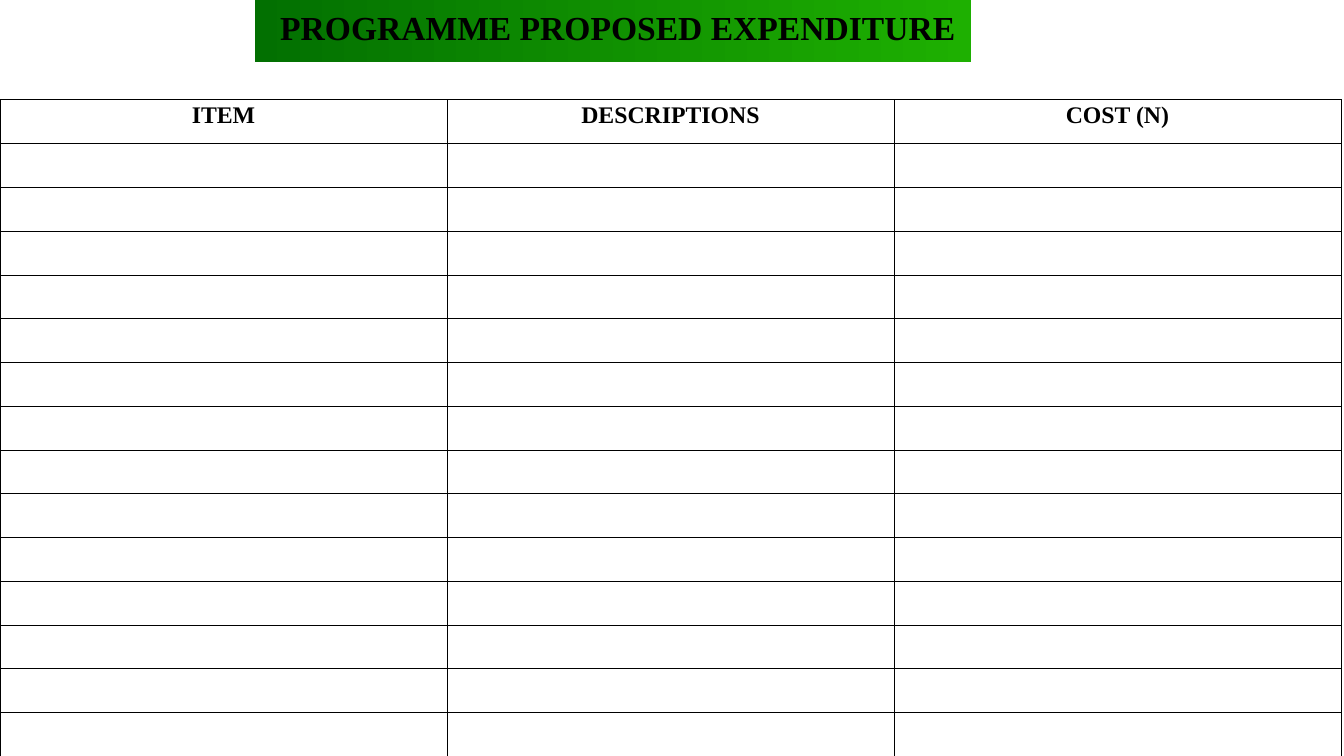
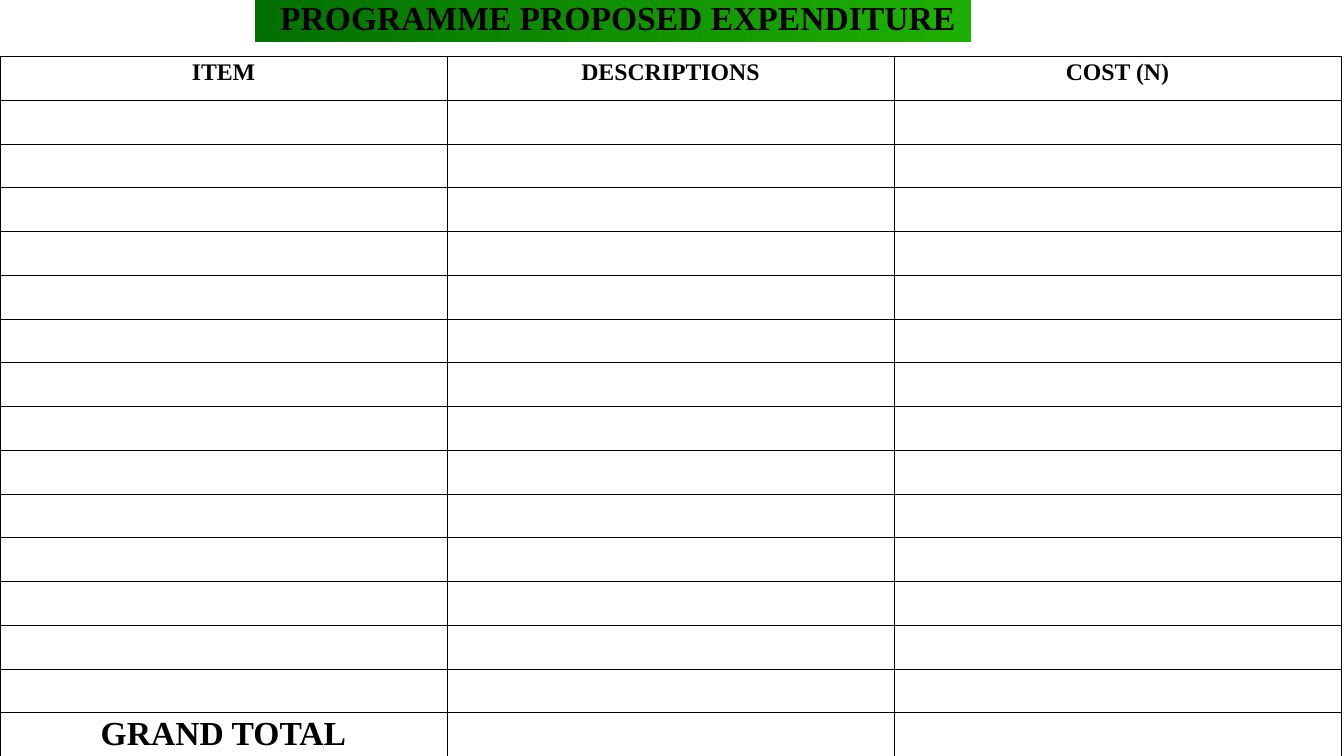
"""Build two expenditure form slides."""
from dataclasses import dataclass

from lxml import etree
from pptx import Presentation
from pptx.dml.color import RGBColor
from pptx.enum import shapes, text
from pptx.oxml import ns
from pptx.util import Inches, Pt

BLACK = RGBColor(0x00, 0x00, 0x00)
GREENS = RGBColor(0x02, 0x70, 0x01), RGBColor(0x1E, 0xB0, 0x01)
FONT = "Times New Roman"
TITLE = "PROGRAMME PROPOSED EXPENDITURE"
HEADS = "ITEM", "DESCRIPTIONS", "COST (N)"
COL = 8.87
ROW = 13.89 / 16


@dataclass
class Form:
    """One slide's banner height and table layout."""
    band: float
    top: float
    rows: int
    total: str = ""


FORMS = Form(1.24, 1.98, 15), Form(0.83, 1.12, 16, "GRAND TOTAL")


def style(para, size: int) -> None:
    """Set the shared bold font."""
    font = para.font
    font.name, font.size, font.bold = FONT, Pt(size), True
    font.color.rgb = BLACK


def border(cell) -> None:
    """Clear the fill and rule all four sides of a cell."""
    cell.fill.background()
    props = cell._tc.get_or_add_tcPr()
    for spot, side in enumerate("LRTB"):
        line = etree.Element(ns.qn(f"a:ln{side}"), w=str(Pt(1)))
        fill = etree.SubElement(line, ns.qn("a:solidFill"))
        etree.SubElement(fill, ns.qn("a:srgbClr"), val=str(BLACK))
        props.insert(spot, line)


def write(cell, words: str, size: int) -> None:
    """Put centred text in a cell."""
    para = cell.text_frame.paragraphs[0]
    para.text = words
    para.alignment = text.PP_ALIGN.CENTER
    style(para, size)


def add_grid(slide, form: Form) -> None:
    """Draw the ruled table."""
    grid = slide.shapes.add_table(
        form.rows, len(HEADS), 0, Inches(form.top),
        Inches(COL * len(HEADS)), Inches(ROW * form.rows)).table
    grid.first_row = grid.horz_banding = False
    for row in grid.rows:
        row.height = Inches(ROW)
    for cell in grid.iter_cells():
        border(cell)
    for spot, head in enumerate(HEADS):
        write(grid.cell(0, spot), head, 34)
    if form.total:
        write(grid.cell(form.rows - 1, 0), form.total, 48)


def add_band(slide, form: Form) -> None:
    """Draw the green title banner."""
    band = slide.shapes.add_shape(
        shapes.MSO_SHAPE.RECTANGLE, Inches(5.06), 0, Inches(14.2), Inches(form.band))
    band.shadow.inherit = False
    band.line.fill.background()
    band.fill.gradient()
    band.fill.gradient_angle = 0
    for spot, (stop, color) in enumerate(zip(band.fill.gradient_stops, GREENS)):
        stop.position = spot
        stop.color.rgb = color
    frame = band.text_frame
    frame.margin_left = frame.margin_right = frame.margin_top = frame.margin_bottom = 0
    frame.word_wrap = True
    frame.vertical_anchor = text.MSO_ANCHOR.MIDDLE
    para = frame.paragraphs[0]
    para.text = TITLE
    para.level = 2
    para.alignment = text.PP_ALIGN.LEFT
    para.line_spacing = 0.8
    props = para._p.get_or_add_pPr()
    props.set("marL", "0")
    props.set("indent", str(Inches(0.5)))
    style(para, 48)


def main() -> None:
    """Build and save the deck."""
    deck = Presentation()
    deck.slide_width, deck.slide_height = Inches(26.67), Inches(15)
    for form in FORMS:
        slide = deck.slides.add_slide(deck.slide_layouts[6])
        add_grid(slide, form)
        add_band(slide, form)
    deck.save("out.pptx")


if __name__ == "__main__":
    main()
